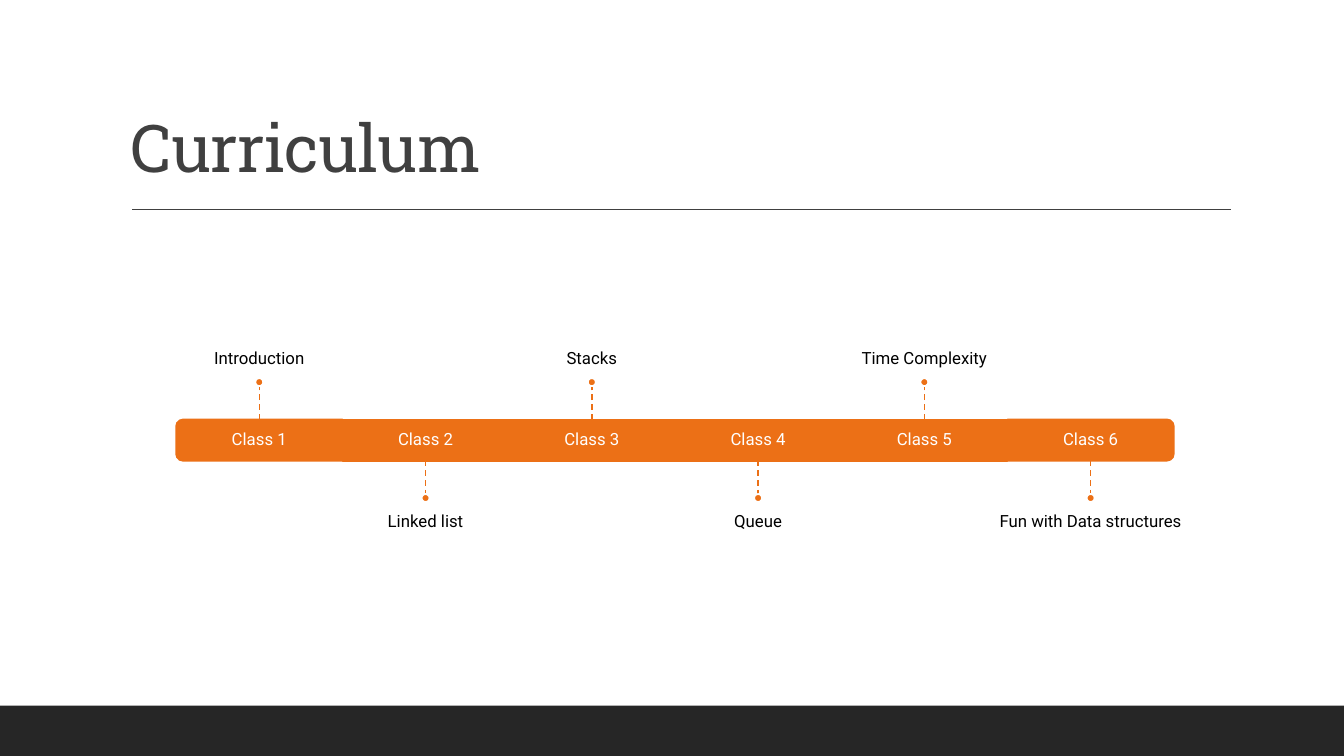
from dataclasses import dataclass

from lxml import etree
from pptx import Presentation
from pptx.dml.color import RGBColor
from pptx.enum import dml, shapes, text
from pptx.oxml import ns
from pptx.util import Cm, Pt

TITLE = "Curriculum"
CLASSES = [
    ("Class 1", "Introduction"),
    ("Class 2", "Linked list"),
    ("Class 3", "Stacks"),
    ("Class 4", "Queue"),
    ("Class 5", "Time Complexity"),
    ("Class 6", "Fun with Data structures"),
]


@dataclass(frozen=True)
class Theme:
    accent: str = "EC7016"
    heading: str = "404040"
    footer: str = "262626"
    body: str = "000000"
    white: str = "FFFFFF"
    heading_font: str = "Roboto Slab"
    body_font: str = "Roboto"
    heading_size: float = 47
    body_size: float = 12


THEME = Theme()

# Lengths in centimetres
SLIDE_WIDTH, SLIDE_HEIGHT = 33.87, 19.05
FOOTER_HEIGHT = 1.27
BAR_LEFT, BAR_TOP, BAR_HEIGHT = 4.44, 10.57, 1.04
STEP = 4.19
STEM = 0.84
DOT = 0.2
TOPIC_WIDTH, TOPIC_HEIGHT = 6.99, 3.68
TOPIC_GAP = 0.23
INSET = 0.25


def add_shape(slide, kind, left, top, width, height, fill, line=None):
    shape = slide.shapes.add_shape(kind, Cm(left), Cm(top), Cm(width), Cm(height))
    shape.shadow.inherit = False
    shape.fill.solid()
    shape.fill.fore_color.rgb = RGBColor.from_string(fill)
    if line:
        shape.line.color.rgb = RGBColor.from_string(line)
        shape.line.width = Pt(1.25)
    else:
        shape.line.fill.background()
    return shape


def add_text(slide, words, left, top, width, height, color, anchor,
             insets=(INSET,) * 4, align=text.PP_ALIGN.CENTER,
             font=THEME.body_font, size=THEME.body_size):
    """Add a text box; insets run left, top, right, bottom."""
    box = slide.shapes.add_textbox(Cm(left), Cm(top), Cm(width), Cm(height))
    frame = box.text_frame
    frame.text = words
    frame.word_wrap = True
    frame.vertical_anchor = anchor
    (frame.margin_left, frame.margin_top,
     frame.margin_right, frame.margin_bottom) = map(Cm, insets)
    paragraph = frame.paragraphs[0]
    paragraph.alignment = align
    paragraph.line_spacing = 0.9
    run = paragraph.runs[0]
    run.font.name = font
    run.font.size = Pt(size)
    run.font.color.rgb = RGBColor.from_string(color)
    return box


def add_line(slide, start, end, color):
    line = slide.shapes.add_connector(
        shapes.MSO_CONNECTOR.STRAIGHT, *map(Cm, start + end))
    line.line.color.rgb = RGBColor.from_string(color)
    line.line.width = Pt(1)
    etree.SubElement(line._element.spPr, ns.qn("a:effectLst"))
    return line


def add_segment(slide, index, left):
    """Draw one part of the bar; the first and last have rounded outer corners."""
    rotation = {0: 270, len(CLASSES) - 1: 90}.get(index)
    if rotation is None:
        add_shape(slide, shapes.MSO_SHAPE.RECTANGLE, left, BAR_TOP, STEP,
                  BAR_HEIGHT, THEME.accent, THEME.accent)
        return
    shift = (STEP - BAR_HEIGHT) / 2
    end = add_shape(slide, shapes.MSO_SHAPE.ROUND_2_SAME_RECTANGLE, left + shift,
                    BAR_TOP - shift, BAR_HEIGHT, STEP, THEME.accent, THEME.accent)
    end.rotation = rotation


def add_class(slide, index, name, topic):
    left = BAR_LEFT + index * STEP
    center = left + STEP / 2
    above = index % 2 == 0
    add_segment(slide, index, left)
    label = add_text(slide, name, left, BAR_TOP, STEP, BAR_HEIGHT, THEME.white,
                     text.MSO_ANCHOR.MIDDLE)

    if above:
        edge, side = BAR_TOP, 0
        tip = edge - STEM
        dot_top = tip - DOT
        topic_top = dot_top - TOPIC_HEIGHT
        anchor, insets = text.MSO_ANCHOR.BOTTOM, (0, 0, 0, INSET)
    else:
        edge, side = BAR_TOP + BAR_HEIGHT, 2
        tip = dot_top = edge + STEM
        topic_top = dot_top + TOPIC_GAP
        anchor, insets = text.MSO_ANCHOR.TOP, (0, INSET, 0, 0)

    add_text(slide, topic, center - TOPIC_WIDTH / 2, topic_top, TOPIC_WIDTH,
             TOPIC_HEIGHT, THEME.body, anchor, insets)
    stem = add_line(slide, (center, edge), (center, tip), THEME.accent)
    stem.line.dash_style = dml.MSO_LINE.DASH
    stem.begin_connect(label, side)
    add_shape(slide, shapes.MSO_SHAPE.OVAL, center - DOT / 2, dot_top, DOT, DOT,
              THEME.accent, THEME.white)


def main():
    presentation = Presentation()
    presentation.slide_width = Cm(SLIDE_WIDTH)
    presentation.slide_height = Cm(SLIDE_HEIGHT)
    slide = presentation.slides.add_slide(presentation.slide_layouts[6])

    add_shape(slide, shapes.MSO_SHAPE.RECTANGLE, 0, SLIDE_HEIGHT - FOOTER_HEIGHT,
              SLIDE_WIDTH, FOOTER_HEIGHT, THEME.footer)
    add_line(slide, (3.33, 5.28), (31.01, 5.28), THEME.heading)
    title = add_text(slide, TITLE, 3.05, 0.79, 27.94, 4.04, THEME.heading,
                     text.MSO_ANCHOR.BOTTOM, (INSET, 0.13, INSET, 0.13),
                     text.PP_ALIGN.LEFT, THEME.heading_font, THEME.heading_size)
    title.text_frame.paragraphs[0].runs[0]._r.get_or_add_rPr().set("spc", "-50")

    for index, (name, topic) in enumerate(CLASSES):
        add_class(slide, index, name, topic)
    presentation.save("out.pptx")


if __name__ == "__main__":
    main()
